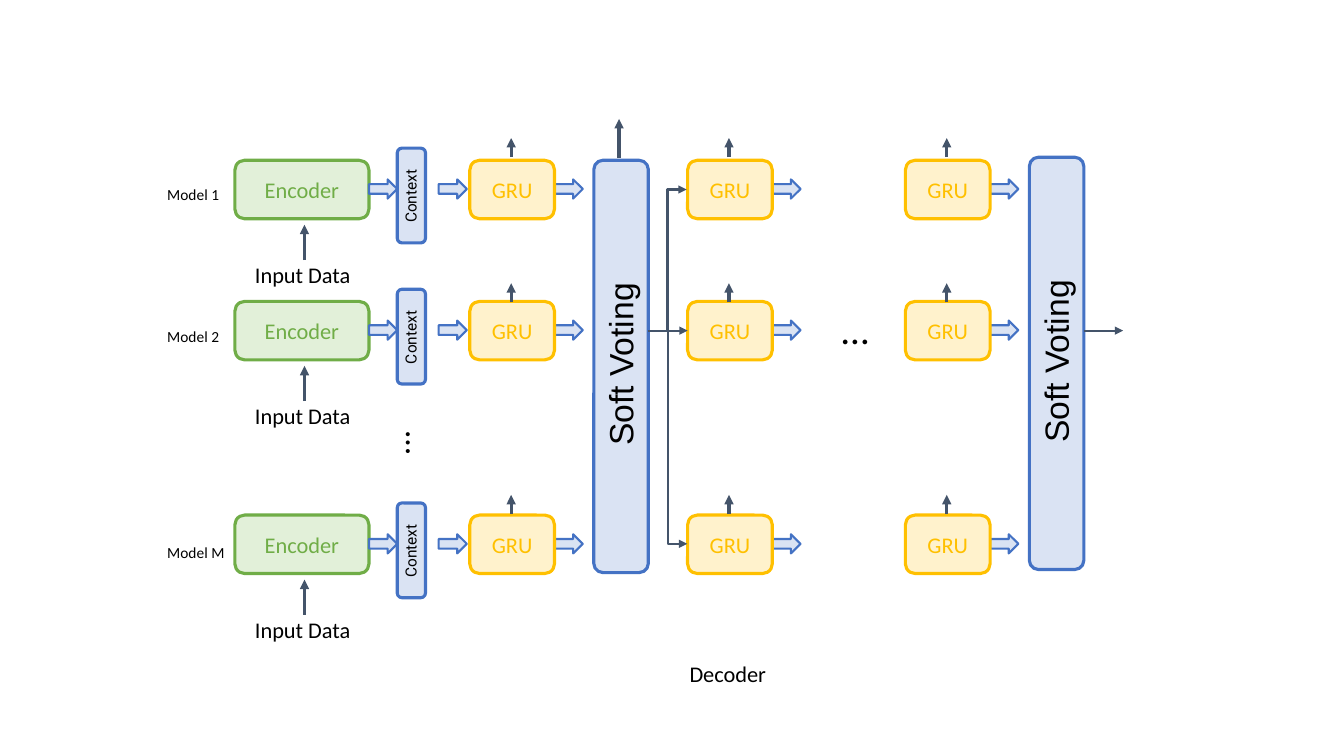
from lxml import etree
from pptx import Presentation
from pptx.dml.color import RGBColor
from pptx.enum.shapes import MSO_CONNECTOR as LINK, MSO_SHAPE as SHAPE
from pptx.enum.text import MSO_ANCHOR as ANCHOR, PP_ALIGN as ALIGN
from pptx.oxml.ns import qn
from pptx.util import Inches, Pt

BLACK = RGBColor(0x00, 0x00, 0x00)
SLATE = RGBColor(0x44, 0x54, 0x6A)
BLUE = RGBColor(0x44, 0x72, 0xC4)
SKY = RGBColor(0xDA, 0xE3, 0xF3)
GREEN = RGBColor(0x70, 0xAD, 0x47)
MINT = RGBColor(0xE2, 0xF0, 0xD9)
GOLD = RGBColor(0xFF, 0xC0, 0x00)
CREAM = RGBColor(0xFF, 0xF2, 0xCC)

deck = Presentation()
deck.slide_width, deck.slide_height = Inches(13.33), Inches(7.5)
slide = deck.slides.add_slide(deck.slide_layouts[6])
shapes = slide.shapes


def box(at, fill=None, edge=None, text="", size=16, face="Calibri",
        turn=0, kind=SHAPE.ROUNDED_RECTANGLE, width=2.25, align=None):
    """Draw a filled shape, or a plain label when no fill is given."""
    place = [Inches(n) for n in at]
    if fill is None:
        item = shapes.add_textbox(*place)
    else:
        item = shapes.add_shape(kind, *place)
        item.shadow.inherit = False
        item.fill.solid()
        item.fill.fore_color.rgb = fill
        item.line.color.rgb = edge
        item.line.width = Pt(width)
        align = ALIGN.CENTER
    item.rotation = turn
    if text:
        frame = item.text_frame
        frame.word_wrap = True
        frame.vertical_anchor = ANCHOR.MIDDLE if fill else ANCHOR.TOP
        para = frame.paragraphs[0]
        para.alignment = align
        run = para.add_run()
        run.text = text
        run.font.size = Pt(size)
        run.font.name = face
        run.font.color.rgb = edge or BLACK
        if edge:
            # Thin outline around the letters
            rim = etree.Element(qn("a:ln"), w=str(Pt(0.75)))
            paint = etree.SubElement(rim, qn("a:solidFill"))
            etree.SubElement(paint, qn("a:srgbClr"), val=str(edge))
            run.font._element.insert(0, rim)


def arrow(x1, y1, x2, y2, width=2.25, turn=None):
    """Draw an arrow; a turn makes it a one-corner elbow."""
    kind = LINK.STRAIGHT if turn is None else LINK.ELBOW
    line = shapes.add_connector(kind, *[Inches(n) for n in (x1, y1, x2, y2)])
    line.line.color.rgb = SLATE
    line.line.width = Pt(width)
    props = line._element.spPr
    etree.SubElement(props.find(qn("a:ln")), qn("a:tailEnd"), type="triangle")
    etree.SubElement(props, qn("a:effectLst"))
    if turn is not None:
        props.find(qn("a:prstGeom")).set("prst", "bentConnector2")
        props.find(qn("a:xfrm")).set("rot", str(turn * 60000))


# Row tops, with the label top and the foot of each output arrow
rows = [("Model 1", 1.59, 1.79, 1.56),
        ("Model 2", 2.99, 3.2, 3.0),
        ("Model M", 5.11, 5.34, 5.1)]
cols = [4.66, 6.82, 8.98]

# Encoders, contexts and decoder cells
for name, top, label, foot in rows:
    box((1.56, label, 0.83, 0.29), text=name, size=11)
    box((2.33, top, 1.33, 0.58), MINT, GREEN, "Encoder")
    arrow(3.02, top + 0.99, 3.02, top + 0.64)
    box((2.43, top + 0.95, 1.29, 0.37), text="Input Data")
    for x in [3.66, 4.35] + [col + 0.84 for col in cols]:
        box((x, top + 0.19, 0.28, 0.19), SKY, BLUE,
            kind=SHAPE.RIGHT_ARROW, width=1.5)
    box((3.94, top - 0.12, 0.28, 0.94), SKY, BLUE)
    box((3.68, top + 0.18, 0.79, 0.29), text="Context", size=11,
        face="Roboto", turn=270)
    for col in cols:
        box((col, top, 0.84, 0.58), CREAM, GOLD, "GRU")
        arrow(col + 0.41, foot, col + 0.41, foot - 0.19)

# Soft voting bars and their outputs
for x, top in [(5.89, 1.59), (10.21, 1.56)]:
    box((x, top, 0.54, 4.09), SKY, BLUE)
    box((x - 0.77, top + 1.65, 2.06, 0.5), text="Soft Voting", size=24,
        face="Arial", turn=270)
    arrow(x + 0.54, 3.28, x + 0.93, 3.28, 1.5)
arrow(6.14, 1.57, 6.14, 1.18)

# Elbows that feed the vote back to the top and bottom rows
arrow(7.41, 2.67, 6.02, 2.48, 1.5, 90)
arrow(7.78, 4.24, 5.66, 4.43, 1.5, 270)

# Ellipses and decoder caption
box((3.93, 4.15, 0.46, 0.5), text="…", size=24, turn=90, align=ALIGN.CENTER)
box((8.25, 2.98, 0.38, 0.57), text="…", size=28)
box((6.74, 6.5, 1.25, 0.37), text="Decoder")

deck.save("out.pptx")
